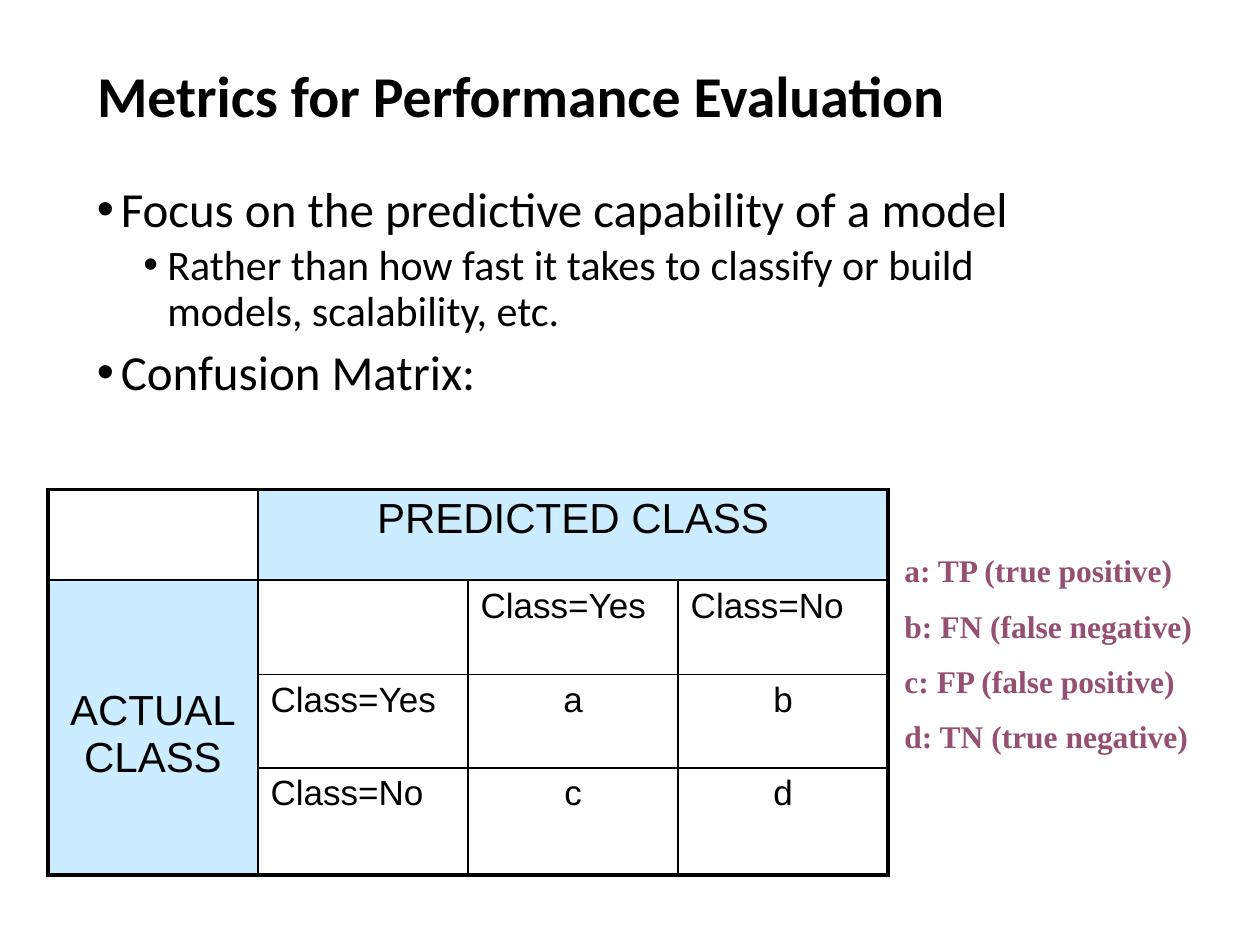
from dataclasses import dataclass

from lxml import etree
from pptx import Presentation
from pptx import util as u
from pptx.dml.color import RGBColor
from pptx.enum import text
from pptx.oxml import ns


@dataclass(frozen=True)
class Theme:
    ink: str = "000000"
    band: str = "CCECFF"
    accent: str = "954F72"
    heading_font: str = "Calibri"
    matrix_font: str = "Arial"
    legend_font: str = "Times New Roman"
    title: float = 33
    point: float = 28
    subpoint: float = 24
    matrix_head: float = 24
    matrix_cell: float = 20
    legend: float = 18
    thin: float = 1
    thick: float = 2.25


THEME = Theme()
WIDTH, HEIGHT = 10, 7.5


def box(left, top, width, height):
    return tuple(u.Inches(share * side) for share, side in
                 zip((left, top, width, height), (WIDTH, HEIGHT) * 2))


def style(paragraph, font, size, color=THEME.ink, bold=False):
    for run in paragraph.runs:
        run.font.name, run.font.size, run.font.bold = font, u.Pt(size), bold
        run.font.color.rgb = RGBColor.from_string(color)


def add_lines(slide, area, lines):
    frame = slide.shapes.add_textbox(*area).text_frame
    frame.word_wrap = True
    frame.text = "\n".join(lines)
    return frame.paragraphs


def place_title(slide, area, words):
    title = slide.shapes.title
    title.left, title.top, title.width, title.height = area
    frame = title.text_frame
    frame.text = words
    frame.vertical_anchor = text.MSO_ANCHOR.MIDDLE
    heading = frame.paragraphs[0]
    heading.alignment, heading.line_spacing = text.PP_ALIGN.LEFT, 0.9
    style(heading, THEME.heading_font, THEME.title, bold=True)


def place_points(slide, area, points):
    paragraphs = add_lines(slide, area, [words for _, words in points])
    for paragraph, (level, _) in zip(paragraphs, points):
        paragraph.level, paragraph.line_spacing = level, 0.9
        paragraph.space_before = u.Pt((7.5, 3.8)[level])
        style(paragraph, THEME.heading_font, (THEME.point, THEME.subpoint)[level])
        properties = paragraph._p.get_or_add_pPr()
        properties.set("marL", str(u.Inches((0.19, 0.56)[level])))
        properties.set("indent", str(u.Inches(-0.19)))
        etree.SubElement(properties, ns.qn("a:buFont"), typeface="Arial")
        etree.SubElement(properties, ns.qn("a:buChar"), char="•")


def draw_borders(cell, outer):
    properties = cell._tc.get_or_add_tcPr()
    for side, is_outer in outer.items():
        if cell.is_spanned and not is_outer:
            continue
        weight = THEME.thick if is_outer else THEME.thin
        line = etree.SubElement(properties, ns.qn(f"a:ln{side}"), w=str(u.Pt(weight)))
        fill = etree.SubElement(line, ns.qn("a:solidFill"))
        etree.SubElement(fill, ns.qn("a:srgbClr"), val=THEME.ink)


def fill_cell(cell, words, size, centred):
    cell.text_frame.text = words
    paragraph = cell.text_frame.paragraphs[0]
    paragraph.alignment = text.PP_ALIGN.CENTER if centred else text.PP_ALIGN.LEFT
    paragraph.space_before, paragraph.space_after = u.Pt(size / 10), u.Pt(4)
    style(paragraph, THEME.matrix_font, size)


def place_matrix(slide, area, row_shares, rows):
    last_row, last_column = len(rows) - 1, len(rows[0]) - 1
    matrix = slide.shapes.add_table(len(rows), len(rows[0]), *area).table
    matrix.first_row = matrix.horz_banding = False
    for row, share in zip(matrix.rows, row_shares):
        row.height = int(area[3] * share / sum(row_shares))
    predicted, actual = matrix.cell(0, 1), matrix.cell(1, 0)
    predicted.merge(matrix.cell(0, last_column))
    actual.merge(matrix.cell(last_row, 0))
    actual.margin_top = u.Inches(0.85)
    for r, row in enumerate(rows):
        for c, words in enumerate(row):
            cell = matrix.cell(r, c)
            right = c + (cell.span_width if cell.is_merge_origin else 1) - 1
            bottom = r + (cell.span_height if cell.is_merge_origin else 1) - 1
            draw_borders(cell, {"L": c == 0, "R": right == last_column,
                                "T": r == 0, "B": bottom == last_row})
            if cell.is_merge_origin or cell.is_spanned:
                cell.fill.solid()
                cell.fill.fore_color.rgb = RGBColor.from_string(THEME.band)
            else:
                cell.fill.background()
            if words:
                size = THEME.matrix_head if cell.is_merge_origin else THEME.matrix_cell
                fill_cell(cell, words, size, cell.is_merge_origin or (r > 1 and c > 1))


def place_legend(slide, area, entries):
    for paragraph in add_lines(slide, area, entries):
        paragraph.space_before = u.Pt(10)
        style(paragraph, THEME.legend_font, THEME.legend, THEME.accent, bold=True)


def build_metrics_slide(deck):
    slide = deck.slides.add_slide(deck.slide_layouts[5])
    place_title(slide, box(0.067, 0.033, 0.892, 0.144),
                "Metrics for Performance Evaluation")
    place_points(slide, box(0.067, 0.189, 0.825, 0.723), [
        (0, "Focus on the predictive capability of a model"),
        (1, "Rather than how fast it takes to classify or build models, scalability, etc."),
        (0, "Confusion Matrix:"),
    ])
    place_matrix(slide, box(0.038, 0.518, 0.667, 0.408), (0.72, 0.75, 0.74, 0.85), [
        ("", "PREDICTED CLASS", "", ""),
        ("ACTUAL\vCLASS", "", "Class=Yes", "Class=No"),
        ("", "Class=Yes", "a", "b"),
        ("", "Class=No", "c", "d"),
    ])
    place_legend(slide, box(0.708, 0.577, 0.292, 0.236), [
        "a: TP (true positive)", "b: FN (false negative)",
        "c: FP (false positive)", "d: TN (true negative)",
    ])


deck = Presentation()
deck.slide_width, deck.slide_height = u.Inches(WIDTH), u.Inches(HEIGHT)
build_metrics_slide(deck)
deck.save("out.pptx")
